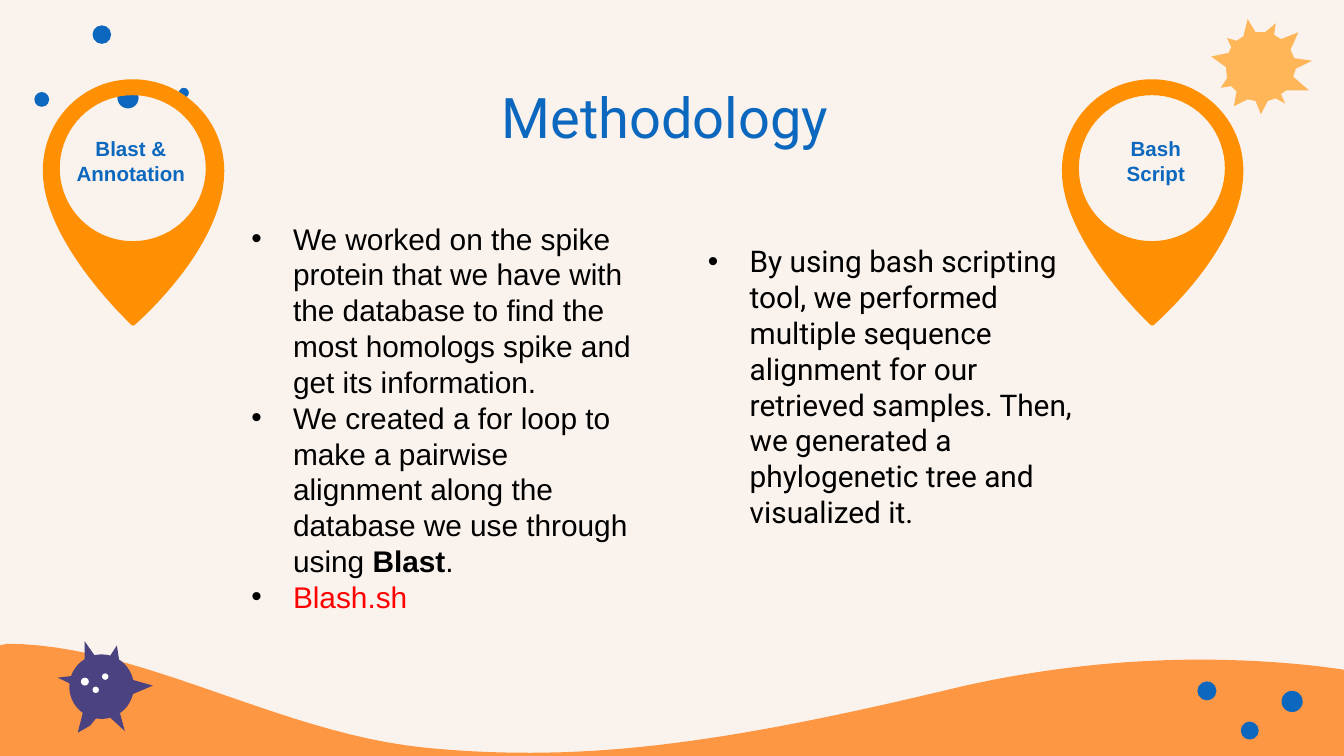
from math import cos, pi, sin

from lxml.etree import SubElement
from pptx import Presentation
from pptx.dml.color import RGBColor
from pptx.enum.shapes import MSO_SHAPE
from pptx.enum.text import MSO_ANCHOR, PP_ALIGN
from pptx.oxml.ns import qn
from pptx.util import Cm, Pt

CREAM, BLUE, ORANGE, SAND = "FAF2EC", "0B68BE", "FF9003", "FE9744"
SUNNY, PURPLE, WHITE, BLACK, RED = "FFB659", "4B4381", "FFFFFF", "000000", "FF0000"
BULLET_INDENT = 0.79

WAVE = [
    (0.13, 0),
    (2.62, 0, 5.26, 1.68, 8, 1.96),
    (8.69, 2.03, 9.35, 2.06, 10.01, 2.06),
    (12.34, 2.06, 14.76, 1.63, 18.16, 0.81),
    (19.84, 0.43, 21.39, 0.3, 22.68, 0.3),
    (24.16, 0.3, 25.3, 0.46, 25.81, 0.56),
    (25.81, 2.26), (0, 2.26), (0, 0.03),
]
SUN = [
    (1.65, 0.25), (1.5, 0.58), (1.57, 0.74), (1.91, 0.79), (1.6, 0.94), (1.55, 1.09),
    (1.85, 1.35), (1.42, 1.35), (1.32, 1.42), (1.4, 1.6), (1.22, 1.5), (1.07, 1.55),
    (0.94, 1.8), (0.84, 1.55), (0.69, 1.52), (0.43, 1.65), (0.48, 1.37), (0.38, 1.27),
    (0.18, 1.3), (0.3, 1.12), (0.28, 0.91), (0, 0.71), (0.33, 0.64), (0.38, 0.53),
    (0.3, 0.36), (0.48, 0.41), (0.61, 0.33), (0.69, 0), (0.84, 0.25), (1.02, 0.25),
    (1.22, 0.08), (1.19, 0.3), (1.32, 0.38),
]
PIN = [
    (1.7, 0),
    (0.76, 0, 0, 0.76, 0, 1.73),
    (0, 3.02, 1.5, 4.47, 1.68, 4.65),
    (1.73, 4.65),
    (1.93, 4.47, 3.43, 3.12, 3.43, 1.73),
    (3.43, 0.76, 2.64, 0, 1.7, 0),
]
PIN_HOLE = [(1.7 + 1.38 * cos(step * pi / 36), 1.68 + 1.38 * sin(step * pi / 36))
            for step in range(72)]
VIRUS_SPIKES = [
    [(0.51, 0), (0.51, 0.53), (0.81, 0.43)],
    [(1.14, 1.22), (0.89, 1.35), (1.27, 1.7)],
    [(0.43, 0.64), (0, 0.69), (0.36, 0.86)],
    [(0.51, 1.22), (0.38, 1.73), (0.61, 1.6), (0.76, 1.42)],
    [(1.12, 0.08), (0.94, 0.36), (1.17, 0.41)],
    [(1.27, 0.69), (1.33, 1.04), (1.8, 0.84)],
]
VIRUS_EYES = [(0.44, 0.69, 0.15), (0.84, 0.61, 0.12), (0.66, 0.86, 0.12)]
LEFT_DOTS = [(0, 1.26, 0.28), (1.1, 0, 0.35), (1.57, 1.17, 0.4), (2.73, 1.18, 0.19)]
RIGHT_DOTS = [(0.82, 0.76, 0.34), (1.59, 0.18, 0.4), (0, 0, 0.36)]


def color(value):
    """Return the colour for a hex string."""
    return RGBColor.from_string(value)


def paint(shape, fill):
    """Give a shape a flat fill without line or shadow."""
    shape.shadow.inherit = False
    shape.fill.solid()
    shape.fill.fore_color.rgb = color(fill)
    shape.line.fill.background()


def flatten(segments, steps=24):
    """Turn points and cubic curves into a list of points."""
    points = []
    for segment in segments:
        if len(segment) == 2:
            points.append(segment)
            continue
        controls = [points[-1], segment[:2], segment[2:4], segment[4:]]
        for step in range(1, steps + 1):
            t = step / steps
            weights = ((1 - t) ** 3, 3 * t * (1 - t) ** 2, 3 * t * t * (1 - t), t ** 3)
            points.append(tuple(sum(weight * control[axis] for weight, control
                                    in zip(weights, controls)) for axis in (0, 1)))
    return points


def add_outline(slide, box, fill, *contours):
    """Draw closed contours measured from the corner of the box."""
    left, top = box[:2]
    builder = None
    for contour in contours:
        start, *rest = [(Cm(left + x), Cm(top + y)) for x, y in flatten(contour)]
        if builder is None:
            builder = slide.shapes.build_freeform(*start)
        else:
            builder.move_to(*start)
        builder.add_line_segments(rest, close=True)
    paint(builder.convert_to_shape(), fill)


def add_dots(slide, box, fill, dots):
    """Draw round dots measured from the corner of the box."""
    left, top = box[:2]
    for x, y, size in dots:
        paint(slide.shapes.add_shape(MSO_SHAPE.OVAL, Cm(left + x), Cm(top + y),
                                     Cm(size), Cm(size)), fill)


def add_bullet(paragraph):
    """Give a paragraph a hanging black bullet."""
    properties = paragraph._p.get_or_add_pPr()
    properties.set("marL", str(Cm(BULLET_INDENT)))
    properties.set("indent", str(-Cm(BULLET_INDENT)))
    bullet_color = SubElement(properties, qn("a:buClr"))
    SubElement(bullet_color, qn("a:srgbClr"), val=BLACK)
    SubElement(properties, qn("a:buFont"), typeface="Arial")
    SubElement(properties, qn("a:buChar"), char="•")


def add_text(slide, box, paragraphs, font, frame=None, layout=None, bullets=False):
    """Write paragraphs of (text, font changes) runs into the box."""
    text_frame = slide.shapes.add_textbox(*map(Cm, box)).text_frame
    for name, value in {"word_wrap": True, **(frame or {})}.items():
        setattr(text_frame, name, value)
    for index, runs in enumerate(paragraphs):
        paragraph = text_frame.add_paragraph() if index else text_frame.paragraphs[0]
        for name, value in (layout or {}).items():
            setattr(paragraph, name, value)
        if bullets:
            add_bullet(paragraph)
        for text, changes in runs:
            run = paragraph.add_run()
            run.text = text
            values = {**font, **changes}
            run.font.color.rgb = color(values.pop("color"))
            for name, value in values.items():
                setattr(run.font, name, value)


def add_virus(slide, box):
    """Draw the spiky virus."""
    add_dots(slide, box, PURPLE, [(0.22, 0.25, 1.22)])
    for spike in VIRUS_SPIKES:
        add_outline(slide, box, PURPLE, spike)
    add_dots(slide, box, WHITE, VIRUS_EYES)


def add_decoration(slide, box):
    """Draw the wave, sun, dots and virus around the slide."""
    left, top = box[:2]
    add_outline(slide, (left, top + 12.17), SAND, WAVE)
    add_outline(slide, (left + 22.89, top + 0.36), SUNNY, SUN)
    add_dots(slide, (left + 0.65, top + 0.48), BLUE, LEFT_DOTS)
    add_dots(slide, (left + 22.63, top + 12.88), BLUE, RIGHT_DOTS)
    add_virus(slide, (left + 1.09, top + 12.12))


def add_title(slide, box, text):
    """Write the slide title centred in the box."""
    margins = {f"margin_{side}": Cm(0.25) for side in ("left", "top", "right", "bottom")}
    add_text(slide, box, [[(text, {})]],
             {"name": "Roboto", "size": Pt(30), "color": BLUE},
             {"vertical_anchor": MSO_ANCHOR.MIDDLE, **margins},
             {"alignment": PP_ALIGN.CENTER})


def add_pin(slide, box, label, label_left, label_width):
    """Draw a map pin with its label inside the ring."""
    left, top = box[:2]
    add_outline(slide, box, ORANGE, PIN, PIN_HOLE)
    add_text(slide, (left + label_left, top + 0.94, label_width, 1.19), [[(label, {})]],
             {"name": "Arial", "size": Pt(11), "bold": True, "color": BLUE},
             layout={"alignment": PP_ALIGN.CENTER, "line_spacing": Pt(13.4)})


def add_steps(slide, box, font_name, paragraphs):
    """Write a bulleted list of steps."""
    add_text(slide, box, paragraphs,
             {"name": font_name, "size": Pt(16), "color": BLACK},
             layout={"line_spacing": Pt(19.2)}, bullets=True)


def main():
    """Build the methodology slide."""
    presentation = Presentation()
    presentation.slide_width, presentation.slide_height = Cm(25.4), Cm(14.29)
    slide = presentation.slides.add_slide(presentation.slide_layouts[6])
    slide.background.fill.solid()
    slide.background.fill.fore_color.rgb = color(CREAM)
    add_decoration(slide, (0, 0, 25.4, 14.29))
    add_title(slide, (3.58, 1.5, 18.24, 1.4), "Methodology ")
    add_pin(slide, (0.81, 1.5, 3.43, 4.65), "Blast & Annotation", 0.18, 2.97)
    add_pin(slide, (20.07, 1.5, 3.43, 4.65), "Bash Script", 0.53, 2.49)
    add_steps(slide, (13.13, 4.47, 7.44, 6.32), "Roboto", [
        [("By using bash scripting tool, we performed multiple sequence alignment for our "
          "retrieved samples. Then, we generated a phylogenetic tree and visualized it.", {})],
    ])
    add_steps(slide, (4.5, 4.04, 7.77, 7.77), "Arial", [
        [("We worked on the spike protein that we have with the database to find the most "
          "homologs spike and get its information.", {})],
        [("We created a for loop to make a pairwise alignment along the database we use "
          "through using ", {}), ("Blast", {"bold": True}), (".", {})],
        [("Blash.sh", {"color": RED})],
    ])
    presentation.save("out.pptx")


if __name__ == "__main__":
    main()
